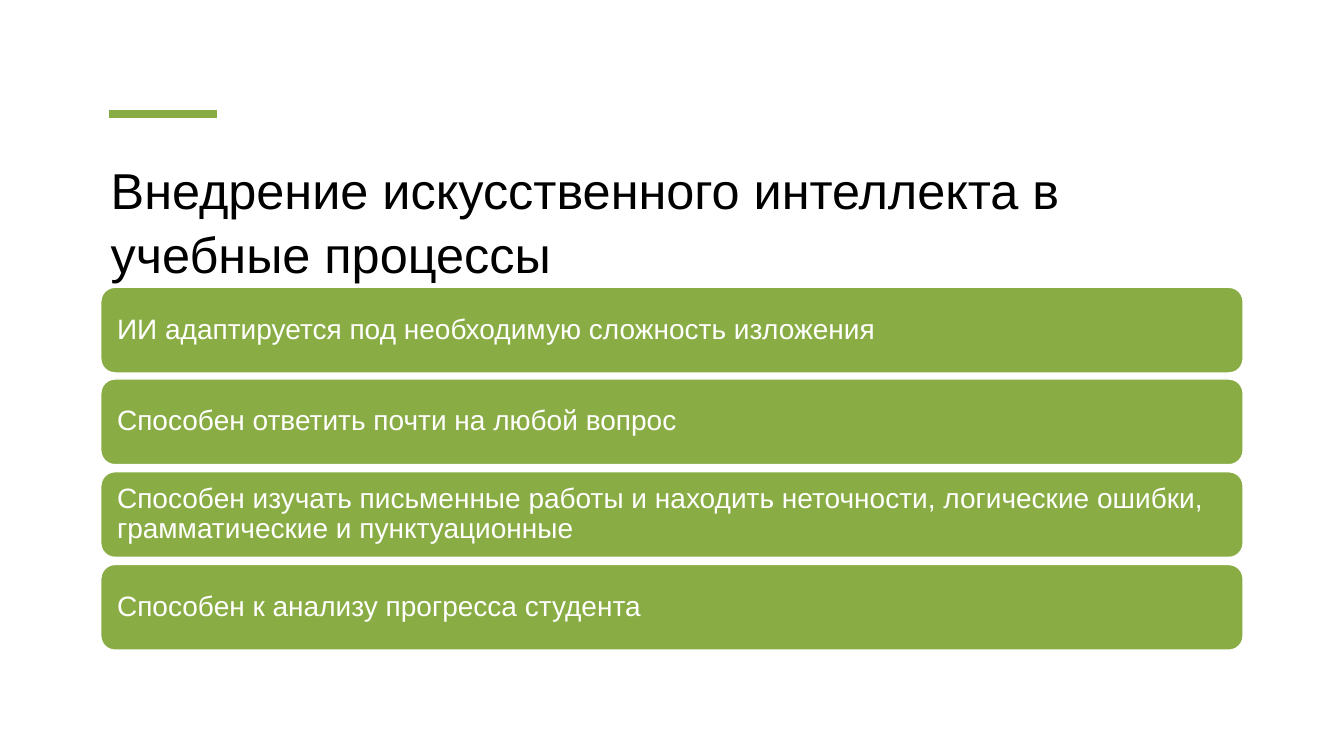
from pptx import Presentation
from pptx.dml.color import RGBColor
from pptx.enum.shapes import MSO_CONNECTOR, MSO_SHAPE
from pptx.enum.text import MSO_ANCHOR, PP_ALIGN
from pptx.oxml.ns import qn
from pptx.util import Emu, Pt
from lxml.etree import SubElement


class AiLearningSlide:
    """Draws the elements of the slide in one style, with 100 px to the inch."""

    SCALE = 9144
    FONT = "Arial"
    COLOURS = {"accent": "89AD44", "title": "000000", "light": "FFFFFF"}

    def __init__(self, deck):
        self.slide = deck.slides.add_slide(deck.slide_layouts[6])

    def px(self, *lengths):
        return [Emu(length * self.SCALE) for length in lengths]

    def colour(self, name):
        return RGBColor.from_string(self.COLOURS[name])

    def set_text(self, frame, text, size, colour, spacing, anchor, margins):
        frame.word_wrap = True
        frame.vertical_anchor = anchor
        (frame.margin_left, frame.margin_top,
         frame.margin_right, frame.margin_bottom) = self.px(*margins)
        frame.text = text
        paragraph = frame.paragraphs[0]
        paragraph.alignment = PP_ALIGN.LEFT
        paragraph.line_spacing = spacing
        font = paragraph.runs[0].font
        font.name, font.size = self.FONT, Pt(size)
        font.color.rgb = self.colour(colour)

    def accent_line(self, left, y, right):
        accent = self.slide.shapes.add_connector(
            MSO_CONNECTOR.STRAIGHT, *self.px(left, y, right, y))
        accent.line.color.rgb = self.colour("accent")
        accent.line.width = Pt(6)
        SubElement(accent._element.spPr, qn("a:effectLst"))

    def title(self, text, *box):
        heading = self.slide.shapes.add_textbox(*self.px(*box))
        self.set_text(heading.text_frame, text, 36, "title", 1.05,
                      MSO_ANCHOR.TOP, (10, 5, 10, 5))

    def card(self, text, *box):
        card = self.slide.shapes.add_shape(
            MSO_SHAPE.ROUNDED_RECTANGLE, *self.px(*box))
        card.shadow.inherit = False
        card.fill.solid()
        card.fill.fore_color.rgb = self.colour("accent")
        card.line.color.rgb = self.colour("light")
        card.line.width = Pt(1)
        self.set_text(card.text_frame, text, 20, "light", 0.9,
                      MSO_ANCHOR.MIDDLE, (12, 12, 12, 12))


def main():
    deck = Presentation()
    deck.slide_width, deck.slide_height = (
        Emu(side * AiLearningSlide.SCALE) for side in (1333, 750))
    page = AiLearningSlide(deck)
    page.accent_line(108, 113, 215)
    page.title("Внедрение искусственного интеллекта в учебные процессы",
               100, 150, 1133, 130)
    abilities = [
        "ИИ адаптируется под необходимую сложность изложения",
        "Способен ответить почти на любой вопрос",
        "Способен изучать письменные работы и находить неточности, "
        "логические ошибки, грамматические и пунктуационные",
        "Способен к анализу прогресса студента",
    ]
    first_top, last_top = 285, 560
    for index, ability in enumerate(abilities):
        top = first_top + (last_top - first_top) * index // (len(abilities) - 1)
        page.card(ability, 100, top, 1133, 85)
    deck.save("out.pptx")


if __name__ == "__main__":
    main()
